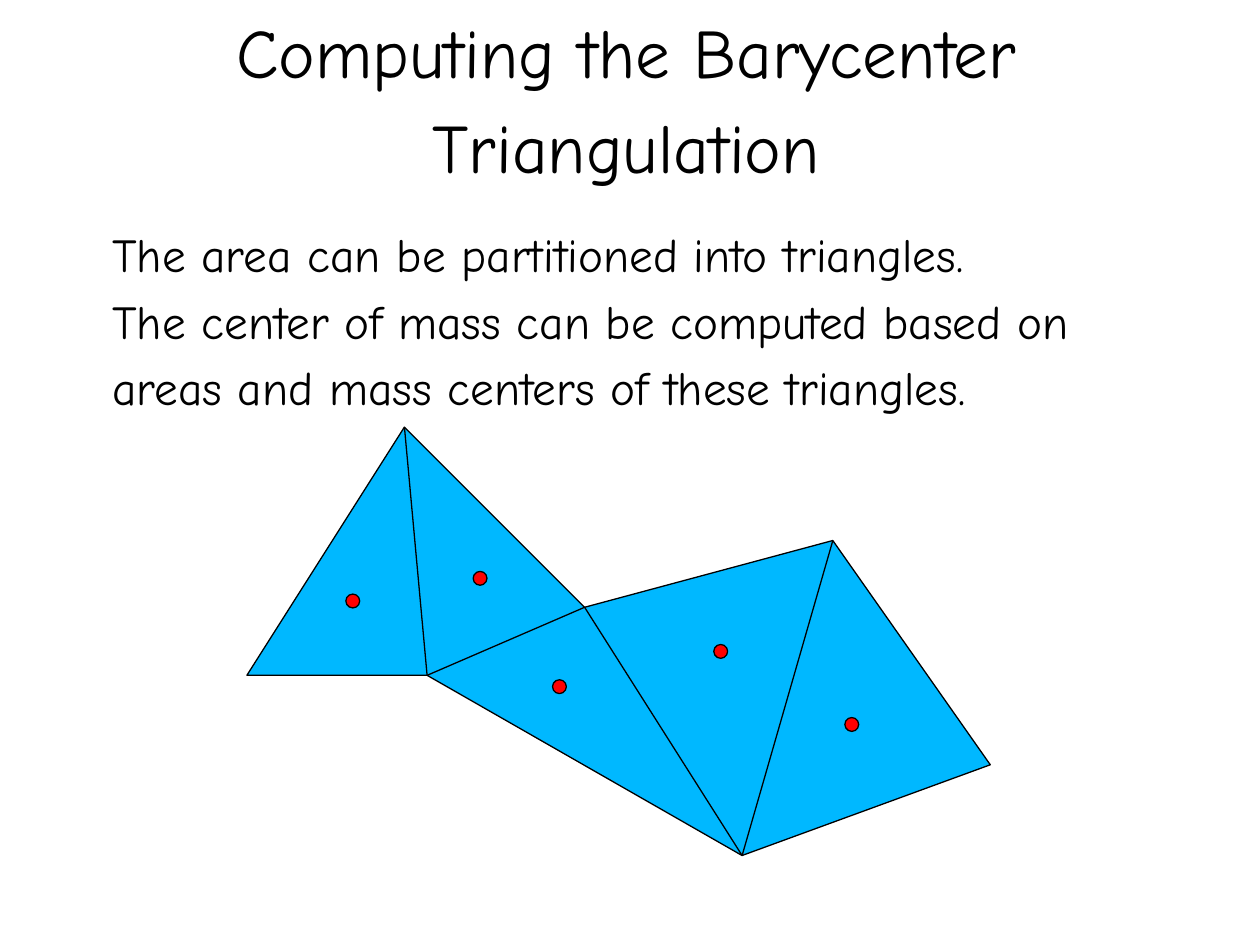
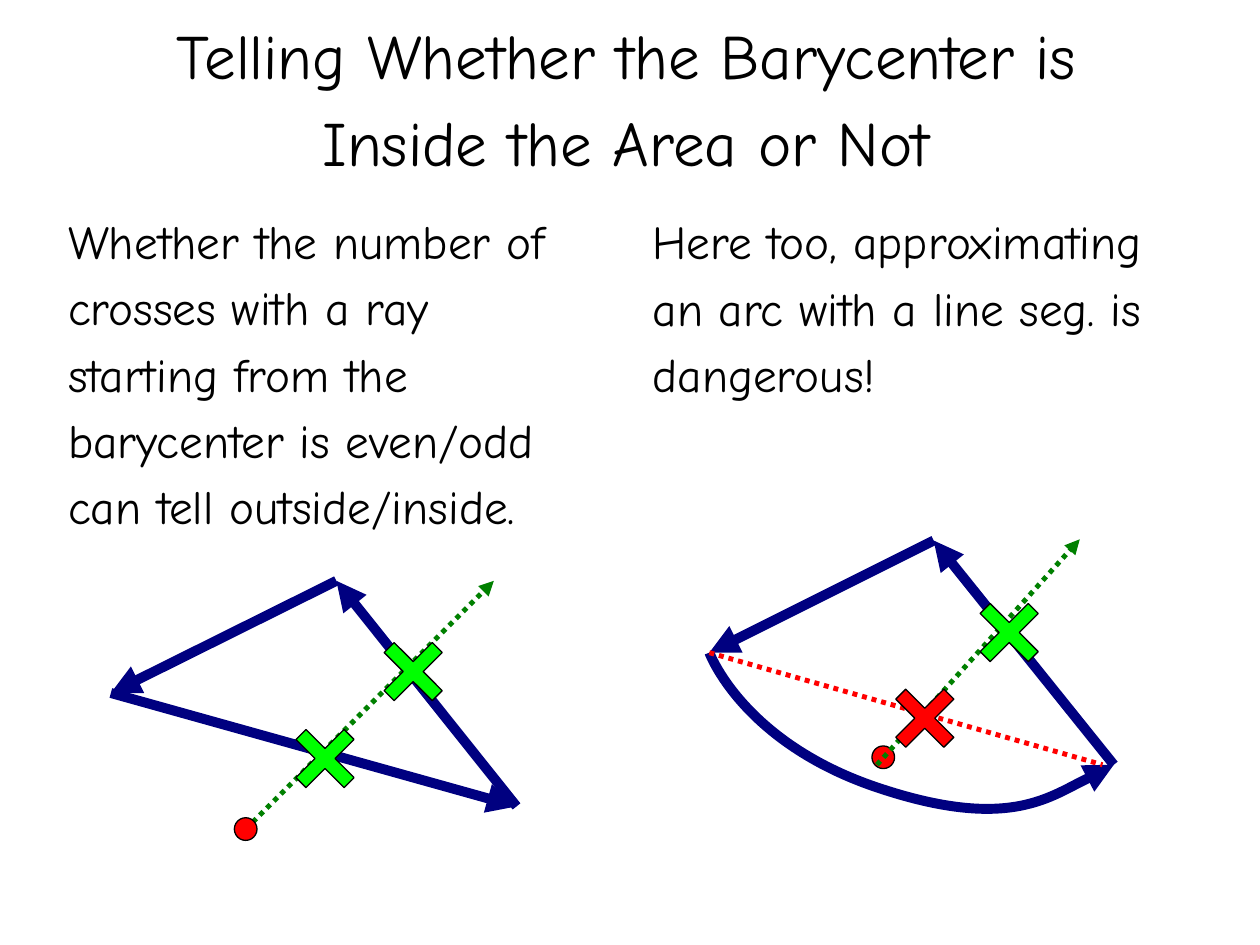
from dataclasses import dataclass

from lxml import etree
from pptx import Presentation
from pptx.dml.color import RGBColor
from pptx.enum.dml import MSO_LINE
from pptx.enum.shapes import MSO_CONNECTOR, MSO_SHAPE
from pptx.enum.text import MSO_ANCHOR, MSO_AUTO_SIZE, PP_ALIGN
from pptx.oxml.ns import qn
from pptx.util import Inches, Pt

STRAIGHT = MSO_CONNECTOR.STRAIGHT
CIRCLE = MSO_SHAPE.OVAL
CROSS = MSO_SHAPE.CROSS
DOTTED = MSO_LINE.ROUND_DOT
CENTER = PP_ALIGN.CENTER
LEFT = PP_ALIGN.LEFT
MIDDLE = MSO_ANCHOR.MIDDLE
FIXED_SIZE = MSO_AUTO_SIZE.NONE

TITLE_AND_CONTENT = 1
TWO_CONTENT = 3

FONT = "Comic Neue"
COLORS = {
    "text": "000000",
    "outline": "000000",
    "area": "00B8FF",
    "center": "FF0000",
    "edge": "000080",
    "ray": "008000",
    "valid": "00FF00",
    "wrong": "FF0000",
}
BODY_SIZE = 27
CROSS_SIZE = 0.54

Point = tuple[float, float]
Box = tuple[float, float, float, float]
TITLE_BOX: Box = (0.48, 0.03, 8.98, 1.41)


@dataclass(frozen=True)
class Stroke:
    color: str
    width: float
    dotted: bool = False
    arrow: bool = False


@dataclass(frozen=True)
class Mark:
    """A filled, outlined shape placed by its center."""
    center: Point
    size: float
    color: str


OUTLINE = Stroke("outline", 0.75)
EDGE = Stroke("edge", 5.67, arrow=True)
RAY = Stroke("ray", 2.83, dotted=True, arrow=True)
CHORD = Stroke("wrong", 2.83, dotted=True)


def rgb(name: str) -> RGBColor:
    return RGBColor.from_string(COLORS[name])


def place(shape, box: Box) -> None:
    shape.left, shape.top, shape.width, shape.height = map(Inches, box)


def style_paragraph(paragraph, size: float, spacing: float, alignment) -> None:
    properties = paragraph._p.get_or_add_pPr()
    properties.set("marL", "0")
    properties.set("indent", "0")
    etree.SubElement(properties, qn("a:buNone"))
    paragraph.alignment = alignment
    paragraph.line_spacing = spacing
    paragraph.space_before = Pt(0)
    for run in paragraph.runs:
        run.font.name = FONT
        run.font.size = Pt(size)
        run.font.color.rgb = rgb("text")


def prepare_frame(shape, box: Box):
    place(shape, box)
    frame = shape.text_frame
    frame.word_wrap = True
    frame.auto_size = FIXED_SIZE
    frame.vertical_anchor = MIDDLE
    return frame


def set_title(slide, first_line: str, second_line: str, size: float) -> None:
    frame = prepare_frame(slide.shapes.title, TITLE_BOX)
    paragraph = frame.paragraphs[0]
    paragraph.add_run().text = first_line
    paragraph.add_line_break()
    paragraph.add_run().text = second_line
    style_paragraph(paragraph, size, 1.14, CENTER)


def set_body(slide, index: int, box: Box, lines: list[str]) -> None:
    frame = prepare_frame(slide.placeholders[index], box)
    frame.margin_left = frame.margin_right = Inches(0)
    frame.margin_top = frame.margin_bottom = Inches(0)
    for number, line in enumerate(lines):
        paragraph = frame.add_paragraph() if number else frame.paragraphs[0]
        paragraph.text = line
        style_paragraph(paragraph, BODY_SIZE, 1.17, LEFT)


def apply_stroke(shape, stroke: Stroke) -> None:
    shape.line.color.rgb = rgb(stroke.color)
    shape.line.width = Pt(stroke.width)
    if stroke.dotted:
        shape.line.dash_style = DOTTED
    if stroke.arrow:
        line = shape._element.spPr.find(qn("a:ln"))
        etree.SubElement(line, qn("a:tailEnd"), type="triangle")


def add_line(slide, start: Point, end: Point, stroke: Stroke) -> None:
    connector = slide.shapes.add_connector(STRAIGHT, *map(Inches, start + end))
    apply_stroke(connector, stroke)
    etree.SubElement(connector._element.spPr, qn("a:effectLst"))


def add_outline(slide, points: list[Point], stroke: Stroke, close: bool):
    start, *others = [(Inches(x), Inches(y)) for x, y in points]
    builder = slide.shapes.build_freeform(*start)
    builder.add_line_segments(others, close=close)
    shape = builder.convert_to_shape()
    shape.shadow.inherit = False
    shape.fill.background()
    apply_stroke(shape, stroke)
    return shape


def add_curve(slide, points: list[Point], stroke: Stroke) -> None:
    """Draw cubic Bézier pieces: a start, then three points for each piece."""
    shape = add_outline(slide, points, stroke, close=False)
    segments = list(shape._element.iter(qn("a:lnTo")))
    for first in range(0, len(segments), 3):
        piece = segments[first:first + 3]
        curve = etree.Element(qn("a:cubicBezTo"))
        piece[0].addprevious(curve)
        for segment in piece:
            curve.append(segment[0])
            segment.getparent().remove(segment)


def add_mark(slide, kind, mark: Mark):
    x, y = mark.center
    half = mark.size / 2
    box = (x - half, y - half, mark.size, mark.size)
    shape = slide.shapes.add_shape(kind, *map(Inches, box))
    shape.shadow.inherit = False
    shape.fill.solid()
    shape.fill.fore_color.rgb = rgb(mark.color)
    apply_stroke(shape, OUTLINE)
    return shape


def add_crossing(slide, center: Point, color: str) -> None:
    shape = add_mark(slide, CROSS, Mark(center, CROSS_SIZE, color))
    shape.adjustments[0] = 0.396
    shape.rotation = 315


def build_triangulation(presentation) -> None:
    slide = presentation.slides.add_slide(presentation.slide_layouts[TITLE_AND_CONTENT])
    set_title(slide, "Computing the Barycenter", "Triangulation", 39.6)

    bottom, inner, left = (5.89, 6.79), (3.39, 5.36), (1.96, 5.36)
    peak, notch, top, right = (3.21, 3.39), (4.64, 4.82), (6.61, 4.29), (7.86, 6.07)
    area = add_outline(slide, [bottom, inner, left, peak, notch, top, right], OUTLINE, close=True)
    area.fill.solid()
    area.fill.fore_color.rgb = rgb("area")
    for start, end in [(peak, inner), (notch, inner), (bottom, notch), (top, bottom)]:
        add_line(slide, start, end, OUTLINE)
    for center in [(2.8, 4.77), (3.81, 4.59), (4.44, 5.45), (5.72, 5.17), (6.76, 5.75)]:
        add_mark(slide, CIRCLE, Mark(center, 0.11, "center"))

    set_body(slide, 1, (0.89, 1.61, 8.54, 1.79), [
        "The area can be partitioned into triangles.",
        "The center of mass can be computed based on",
        "areas and mass centers of these triangles.",
    ])


def build_inside_test(presentation) -> None:
    slide = presentation.slides.add_slide(presentation.slide_layouts[TWO_CONTENT])
    set_title(slide, "Telling Whether the Barycenter is", "Inside the Area or Not", 36)
    set_body(slide, 1, (0.54, 1.61, 4.29, 2.63), [
        "Whether the number of",
        "crosses with a ray",
        "starting from the",
        "barycenter is even/odd",
        "can tell outside/inside.",
    ])
    set_body(slide, 2, (5.18, 1.61, 4.46, 1.58), [
        "Here too, approximating",
        "an arc with a line seg. is",
        "dangerous!",
    ])

    left, top, right = (0.88, 5.5), (2.67, 4.61), (4.1, 6.4)
    barycenter = (1.95, 6.58)
    add_line(slide, barycenter, (3.92, 4.61), RAY)
    add_mark(slide, CIRCLE, Mark(barycenter, 0.18, "center"))
    for start, end in [(right, top), (top, left), (left, right)]:
        add_line(slide, start, end, EDGE)
    for center in [(2.58, 6.02), (3.28, 5.33)]:
        add_crossing(slide, center, "valid")

    left, top, right = (5.63, 5.18), (7.41, 4.29), (8.84, 6.07)
    for start, end in [(right, top), (top, left)]:
        add_line(slide, start, end, EDGE)
    arc = [left, left, (5.89, 5.89), (6.96, 6.25), (8.03, 6.61), right, right]
    add_curve(slide, arc, EDGE)
    add_mark(slide, CIRCLE, Mark((7.01, 6.01), 0.18, "center"))
    add_line(slide, left, (8.75, 6.07), CHORD)
    add_line(slide, (6.96, 6.07), (8.57, 4.28), RAY)
    add_crossing(slide, (7.34, 5.7), "wrong")
    add_crossing(slide, (8.01, 5.02), "valid")


def main() -> None:
    presentation = Presentation()
    presentation.slide_width = Inches(10)
    presentation.slide_height = Inches(7.5)
    build_triangulation(presentation)
    build_inside_test(presentation)
    presentation.save("out.pptx")


if __name__ == "__main__":
    main()
